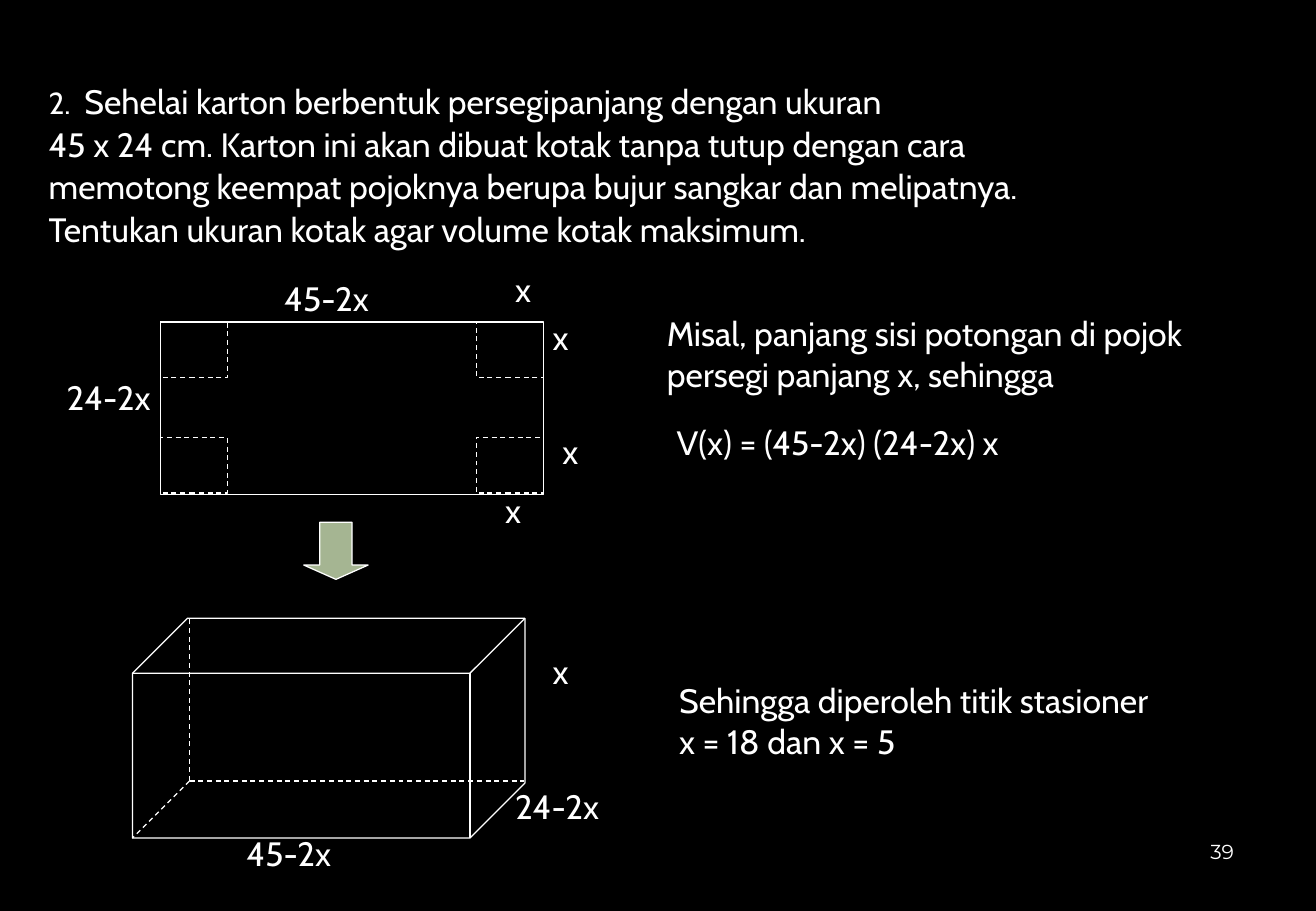
"""Build the slide on the largest open box cut from a card."""
from lxml import etree
from pptx import Presentation
from pptx import util as u
from pptx.dml.color import RGBColor
from pptx.enum import dml, shapes, text
from pptx.oxml.ns import qn

HUES = {"back": "000000", "ink": "FFFFFF", "arrow": "A5B592"}
KIND = shapes.MSO_SHAPE


def write(box, lines, font="Cabin", size=20):
    """Fill a box with lines, one paragraph each."""
    frame = box.text_frame
    frame.text = "\n".join(lines)
    for para in frame.paragraphs:
        for run in para.runs:
            run.font.name = font
            run.font.size = u.Pt(size)
            run.font.color.rgb = RGBColor.from_string(HUES["ink"])
    return frame


def draw(item, dash=False, fill=None):
    """Give a shape or connector its outline and fill."""
    item.line.color.rgb = RGBColor.from_string(HUES["ink"])
    item.line.width = u.Pt(0.75)
    if dash:
        item.line.dash_style = dml.MSO_LINE.DASH
    if hasattr(item, "fill"):
        item.shadow.inherit = False
        if fill:
            item.fill.solid()
            item.fill.fore_color.rgb = RGBColor.from_string(HUES[fill])
        else:
            item.fill.background()
    else:
        etree.SubElement(item.line._get_or_add_ln().getparent(), qn("a:effectLst"))


deck = Presentation()
deck.slide_width, deck.slide_height = u.Inches(10.83), u.Inches(7.5)
slide = deck.slides.add_slide(deck.slide_layouts[1])
slide.background.fill.solid()
slide.background.fill.fore_color.rgb = RGBColor.from_string(HUES["back"])
title = slide.shapes.title.element
title.getparent().remove(title)

body = slide.placeholders[1]
body.left, body.top = u.Inches(0.3), u.Inches(0.68)
body.width, body.height = u.Inches(8.73), u.Inches(1.57)
frame = write(body, [
    "Sehelai karton berbentuk persegipanjang dengan ukuran",
    "45 x 24 cm. Karton ini akan dibuat kotak tanpa tutup dengan cara",
    "memotong keempat pojoknya berupa bujur sangkar dan melipatnya.",
    "Tentukan ukuran kotak agar volume kotak maksimum.",
])
frame.auto_size = text.MSO_AUTO_SIZE.NONE
frame.vertical_anchor = text.MSO_ANCHOR.TOP
for row, para in enumerate(frame.paragraphs):
    props = para._p.get_or_add_pPr()
    props.set("marL", str(u.Inches(0.3)))
    props.set("indent", str(u.Inches(-0.3)))
    etree.SubElement(props, qn("a:buNone"))
    para.line_spacing = 0.8
    para.space_before = u.Pt(6 if row else 0)
first = frame.paragraphs[0]
rest = first.runs[0]
mark = first.add_run()
mark.text = "2.  "
mark.font.name, mark.font.size = "Cabin", u.Pt(18)
mark.font.color.rgb = RGBColor.from_string(HUES["ink"])
rest._r.addprevious(mark._r)

page = slide.shapes.add_textbox(*map(u.Inches, (9.96, 6.76, 0.72, 0.5)))
frame = write(page, ["39"], font="Montserrat", size=12)
frame.word_wrap = True
frame.vertical_anchor = text.MSO_ANCHOR.MIDDLE
frame.margin_left = frame.margin_right = frame.margin_top = frame.margin_bottom = 0

card = slide.shapes.add_shape(KIND.RECTANGLE, *map(u.Inches, (1.32, 2.65, 3.15, 1.42)))
draw(card)
for left in (1.32, 3.92):
    for top in (2.65, 3.6):
        cut = slide.shapes.add_shape(KIND.RECTANGLE, *map(u.Inches, (left, top, 0.55, 0.46)))
        draw(cut, dash=True)

arrow = slide.shapes.add_shape(KIND.DOWN_ARROW, *map(u.Inches, (2.5, 4.3, 0.53, 0.47)))
arrow.adjustments[1] = 0.25
draw(arrow, fill="arrow")

group = slide.shapes.add_group_shape()
cube = group.shapes.add_shape(KIND.CUBE, *map(u.Inches, (1.09, 5.09, 3.23, 1.81)))
draw(cube)
for end in ((1.09, 6.9), (1.56, 5.09), (4.31, 6.43)):
    edge = group.shapes.add_connector(
        shapes.MSO_CONNECTOR.STRAIGHT, *map(u.Inches, (1.56, 6.43, *end)))
    draw(edge, dash=True)

notes = [
    (4.14, 2.16, 0.34, ["x"]),
    (4.45, 2.56, 0.34, ["x"]),
    (4.53, 3.5, 0.34, ["x"]),
    (4.06, 3.98, 0.34, ["x"]),
    (4.45, 5.31, 0.34, ["x"]),
    (2.24, 2.24, 0.9, ["45-2x"]),
    (0.45, 3.05, 0.9, ["24-2x"]),
    (1.93, 6.81, 0.9, ["45-2x"]),
    (4.14, 6.42, 0.9, ["24-2x"]),
    (5.39, 2.53, 4.87, ["Misal, panjang sisi potongan di pojok", "persegi panjang x, sehingga"]),
    (5.47, 3.42, 3.24, ["V(x) = (45-2x) (24-2x) x"]),
    (5.49, 5.55, 4.4, ["Sehingga diperoleh titik stasioner", "x = 18 dan x = 5"]),
]
for left, top, width, lines in notes:
    high = 0.44 + 0.33 * (len(lines) - 1)
    note = slide.shapes.add_textbox(*map(u.Inches, (left, top, width, high)))
    frame = write(note, lines)
    frame.word_wrap = False
    frame.auto_size = text.MSO_AUTO_SIZE.SHAPE_TO_FIT_TEXT

deck.save("out.pptx")
